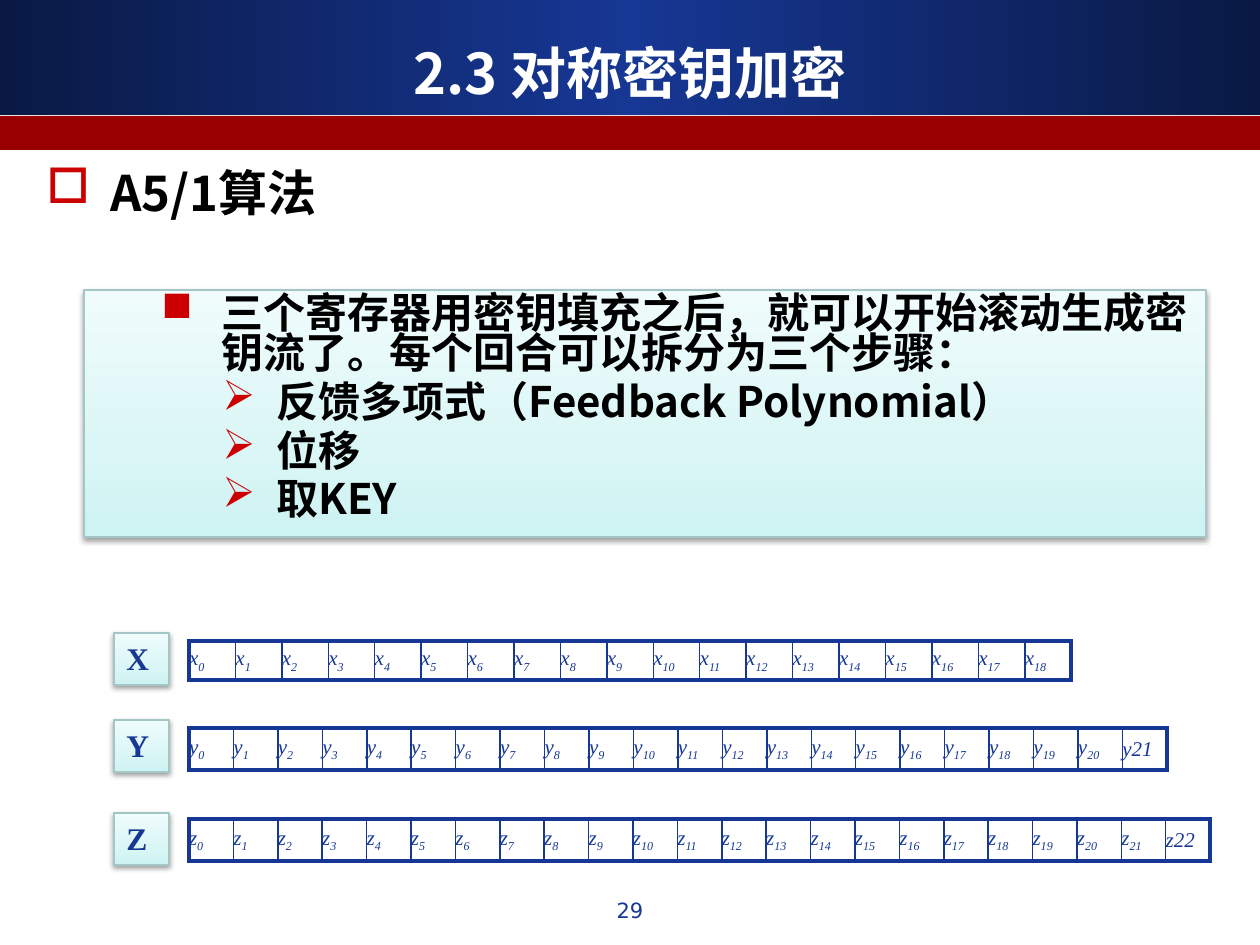
from lxml import etree
from pptx import Presentation
from pptx.dml.color import RGBColor
from pptx.enum.shapes import MSO_SHAPE
from pptx.enum.text import MSO_ANCHOR, PP_ALIGN
from pptx.util import Pt

PX = 914400 / 126
NS = "http://schemas.openxmlformats.org/drawingml/2006/main"
SANS, SERIF = "Noto Sans CJK SC", "Times New Roman"
HUES = {
    "blue": "163794", "navy": "0A1944", "band": "990000", "bullet": "CC0000",
    "aqua": "CDF3F3", "pale": "DBF6F6", "mist": "F0FCFC", "edge": "A5C6C6",
    "black": "000000", "white": "FFFFFF",
}


def add_xml(node, body):
    """Append a run of DrawingML elements to node."""
    for item in list(etree.fromstring(f'<a:x xmlns:a="{NS}">{body}</a:x>')):
        node.append(item)


def style(run, size, font, hue, bold=False, italic=False):
    run.font.size = Pt(size)
    run.font.name = font
    run.font.bold = bold
    run.font.italic = italic
    run.font.color.rgb = RGBColor.from_string(HUES[hue])
    add_xml(run.font._element, f'<a:ea typeface="{font}"/>')


def box_px(*sides):
    return [round(side * PX) for side in sides]


# The third helper-free part: shared XML snippets
stop = '<a:gs pos="{}000"><a:srgbClr val="{}"/></a:gs>'
grad = '<a:gradFill rotWithShape="1"><a:gsLst>{}</a:gsLst><a:lin ang="{}" scaled="0"/></a:gradFill>'
sky = grad.format("".join(stop.format(at, HUES[hue]) for at, hue in
                          ((0, "navy"), (50, "blue"), (100, "navy"))), 0)
glass = grad.format("".join(stop.format(at, HUES[hue]) for at, hue in
                            ((0, "aqua"), (35, "pale"), (100, "mist"))), 16200000)
shade = ('<a:effectLst><a:outerShdw blurRad="39370" dist="20320" dir="5400000" rotWithShape="0">'
         f'<a:srgbClr val="{HUES["black"]}"><a:alpha val="38000"/></a:srgbClr>'
         '</a:outerShdw></a:effectLst>')

deck = Presentation()
deck.slide_width, deck.slide_height = box_px(1260, 945)
slide = deck.slides.add_slide(deck.slide_layouts[5])
shapes = slide.shapes

# Header bands and title
head = shapes.add_shape(MSO_SHAPE.RECTANGLE, *box_px(0, 0, 1260, 115))
add_xml(head.element.spPr, sky)
band = shapes.add_shape(MSO_SHAPE.RECTANGLE, *box_px(0, 116, 1260, 34))
band.fill.solid()
band.fill.fore_color.rgb = RGBColor.from_string(HUES["band"])
for bar in (head, band):
    bar.line.fill.background()
    bar.shadow.inherit = False

title = shapes.title
title.left, title.top, title.width, title.height = box_px(0, 37, 1260, 70)
title.text_frame.text = "2.3 对称密钥加密"
title.text_frame.vertical_anchor = MSO_ANCHOR.MIDDLE
title.text_frame.paragraphs[0].alignment = PP_ALIGN.CENTER
style(title.text_frame.paragraphs[0].runs[0], 32, SANS, "white", bold=True)
title.element.getparent().append(title.element)

# Page number and topic
page = shapes.add_textbox(*box_px(483, 891, 294, 44)).text_frame
page.word_wrap = True
page.text = "29"
page.paragraphs[0].alignment = PP_ALIGN.CENTER
style(page.paragraphs[0].runs[0], 12, "DejaVu Sans", "blue")

topic = shapes.add_textbox(*box_px(34, 156, 630, 72)).text_frame
topic.word_wrap = True

# Glass panels: the steps and the three register names
panels = {}
for name, sides in (
    ("steps", (84, 290, 1122, 247)),
    ("X", (114, 633, 55, 52)),
    ("Y", (114, 720, 55, 52)),
    ("Z", (114, 813, 55, 52)),
):
    panel = shapes.add_shape(MSO_SHAPE.RECTANGLE, *box_px(*sides))
    add_xml(panel.element.spPr, glass)
    panel.line.color.rgb = RGBColor.from_string(HUES["edge"])
    panel.line.width = Pt(0.75)
    add_xml(panel.element.spPr, shade)
    frame = panels[name] = panel.text_frame
    frame.word_wrap = True
    frame.vertical_anchor = MSO_ANCHOR.TOP
    if name != "steps":
        frame.text = name
        frame.paragraphs[0].alignment = PP_ALIGN.LEFT
        style(frame.paragraphs[0].runs[0], 18, SERIF, "blue", bold=True)

# Bulleted text: frame, level, indent, hang, line spacing, size, mark, words
steps = panels["steps"]
for frame, level, indent, hang, gap, size, mark, words in (
    (topic, 0, 64, 64, 1.0, 28, "□", "A5/1算法"),
    (steps, 1, 125, 60, 0.8, 24, "■",
     "三个寄存器用密钥填充之后，就可以开始滚动生成密钥流了。每个回合可以拆分为三个步骤："),
    (steps, 2, 180, 54, 0.8, 24, "➢", "反馈多项式（Feedback Polynomial）"),
    (steps, 2, 180, 54, 0.8, 24, "➢", "位移"),
    (steps, 2, 180, 54, 0.8, 24, "➢", "取KEY"),
):
    para = frame.add_paragraph() if frame.text else frame.paragraphs[0]
    para.text = words
    para.level = level
    para.alignment = PP_ALIGN.LEFT
    para.line_spacing = gap
    props = para._p.get_or_add_pPr()
    props.set("marL", str(round(indent * PX)))
    props.set("indent", str(round(-hang * PX)))
    add_xml(props, '<a:spcBef><a:spcPct val="20000"/></a:spcBef>'
                   f'<a:buClr><a:srgbClr val="{HUES["bullet"]}"/></a:buClr>'
                   f'<a:buChar char="{mark}"/>')
    style(para.runs[0], size, SANS, "black", bold=True)

# Shift registers: letter, cell count, top, width, height, inset, plain last cell
for letter, count, top, width, height, inset, plain in (
    ("x", 19, 641, 883, 39, 0, False),
    ("y", 22, 728, 978, 42, 6, True),
    ("z", 23, 819, 1022, 42, 6, True),
):
    grid = shapes.add_table(1, count, *box_px(189, top, width, height)).table
    grid.first_row = grid.horz_banding = False
    for at, cell in enumerate(grid.rows[0].cells):
        grid.columns[at].width = round(width * PX / count)
        cell.margin_left = cell.margin_right = 0
        cell.margin_top = cell.margin_bottom = round(inset * PX)
        cell.vertical_anchor = MSO_ANCHOR.MIDDLE
        last = at == count - 1
        para = cell.text_frame.paragraphs[0]
        for word in [f"{letter}{at}"] if plain and last else [letter, str(at)]:
            run = para.add_run()
            run.text = word
            style(run, 12, SERIF, "blue", italic=True)
            if word == str(at):
                run.font._element.set("baseline", "-25000")
        edges = {"L": 2.25 if at == 0 else 1, "R": 2.25 if last else 1, "T": 2.25, "B": 2.25}
        props = cell._tc.get_or_add_tcPr()
        add_xml(props, "".join(
            f'<a:ln{side} w="{Pt(wide)}"><a:solidFill><a:srgbClr val="{HUES["blue"]}"/>'
            f'</a:solidFill></a:ln{side}>' for side, wide in edges.items()))
        cell.fill.background()

deck.save("out.pptx")
